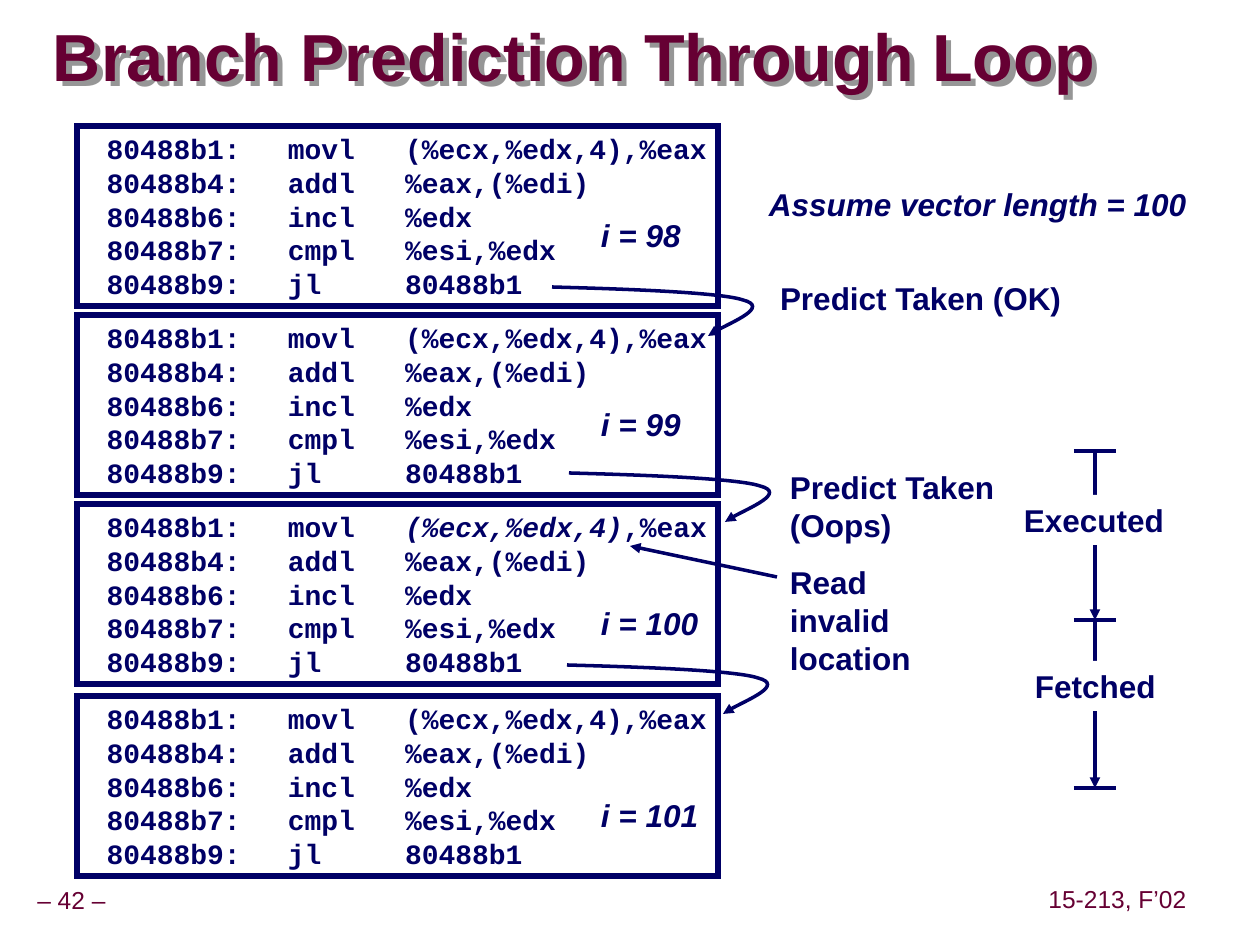
from dataclasses import dataclass

import pptx
import pptx.dml.color
import pptx.enum.shapes
import pptx.enum.text
import pptx.oxml
import pptx.oxml.ns
import pptx.oxml.xmlchemy
import pptx.util
from pptx.oxml.ns import qn

SCALE = 914400 / 126  # EMU in one px
ALIGN = pptx.enum.text.PP_ALIGN
ANCHOR = pptx.enum.text.MSO_ANCHOR
RECTANGLE = pptx.enum.shapes.MSO_SHAPE.RECTANGLE


@dataclass(frozen=True)
class Theme:
    ink: str = "000066"
    accent: str = "660033"
    paper: str = "FFFFFF"
    shadow: str = "969696"
    sans: str = "Arial"
    mono: str = "Courier New"
    title_size: int = 38
    label_size: int = 18
    code_size: int = 16
    footer_size: int = 14
    box_line: int = 3
    line: int = 2


@dataclass(frozen=True)
class Iteration:
    """One pass of the loop, with its block of code."""
    top: int
    index: int
    label_offset: int
    label_width: int
    invalid_read: bool = False


@dataclass(frozen=True)
class Label:
    text: str
    left: int
    top: int
    width: int
    height: int = 50
    italic: bool = False
    wrap: bool = False
    filled: bool = False


THEME = Theme()
OPERAND = "(%ecx,%edx,4)"
CODE = "\n".join([
    f" 80488b1:\tmovl   {OPERAND},%eax",
    " 80488b4:\taddl   %eax,(%edi)",
    " 80488b6:\tincl   %edx",
    " 80488b7:\tcmpl   %esi,%edx",
    " 80488b9:\tjl     80488b1",
])
BOX_LEFT, BOX_WIDTH, BOX_HEIGHT, CODE_TAB = 77, 641, 180, 198
ITERATIONS = [
    Iteration(126, 98, 84, 105),
    Iteration(315, 99, 84, 105),
    Iteration(504, 100, 94, 122, invalid_read=True),
    Iteration(696, 101, 94, 122),
]
LABELS = [
    Label("Assume vector length = 100", 756, 179, 442, italic=True),
    Label("Predict Taken (OK)", 767, 273, 309),
    Label("Predict Taken\n(Oops)", 777, 462, 232, 88),
    Label("Read invalid location", 777, 557, 179, 126, wrap=True),
    Label("Executed", 1011, 495, 165, filled=True),
    Label("Fetched", 1022, 661, 146, filled=True),
]
JUMP_STARTS = [(552, 287), (569, 473), (567, 665)]
JUMP_CURVE = [(32, 1), (165, 4), (191, 13), (218, 20), (164, 42), (156, 49)]
AXIS_X, TICK_HALF, TICKS = 1095, 21, [451, 620, 788]


def px(length: float) -> int:
    return round(length * SCALE)


def rgb(color: str) -> pptx.dml.color.RGBColor:
    return pptx.dml.color.RGBColor.from_string(color)


def write(shape, text: str, *, size: int, color: str = THEME.ink, font: str = THEME.sans,
          bold: bool = True, italic: bool = False, italic_part: str = "",
          align=ALIGN.LEFT, anchor=ANCHOR.TOP, spacing: float = 1.0, wrap: bool = False,
          grow: bool = True, insets: tuple = (13, 6, 0, 6), tab: int = 0) -> None:
    """Fill a shape with one paragraph per line; italic_part is slanted where it occurs."""
    frame = shape.text_frame
    frame.word_wrap = wrap
    auto_size = pptx.enum.text.MSO_AUTO_SIZE
    frame.auto_size = auto_size.SHAPE_TO_FIT_TEXT if grow else auto_size.NONE
    frame.vertical_anchor = anchor
    frame.margin_left, frame.margin_top, frame.margin_right, frame.margin_bottom = map(px, insets)
    for number, line in enumerate(text.split("\n")):
        paragraph = frame.add_paragraph() if number else frame.paragraphs[0]
        paragraph.alignment = align
        paragraph.line_spacing = spacing
        if tab:
            tabs = pptx.oxml.xmlchemy.OxmlElement("a:tabLst")
            stop = pptx.oxml.xmlchemy.OxmlElement("a:tab")
            stop.set("pos", str(px(tab)))
            stop.set("algn", "l")
            tabs.append(stop)
            paragraph._p.get_or_add_pPr().append(tabs)
        before, found, after = line.partition(italic_part) if italic_part else (line, "", "")
        for part, slanted in ((before, italic), (found, True), (after, italic)):
            if part:
                run = paragraph.add_run()
                run.text = part
                run.font.name = font
                run.font.size = pptx.util.Pt(size)
                run.font.bold = bold
                run.font.italic = slanted
                run.font.color.rgb = rgb(color)


def add_title(slide, text: str) -> None:
    """Set the title; with no fill behind it, the shadow falls from the letters."""
    title = slide.shapes.title
    title.left, title.top, title.width, title.height = px(53), px(21), px(1082), px(79)
    write(title, text, size=THEME.title_size, color=THEME.accent, anchor=ANCHOR.MIDDLE,
          spacing=0.87, wrap=True, grow=False, insets=(0, 0, 0, 0))
    title.fill.background()
    title._element.spPr.append(pptx.oxml.parse_xml(
        f'<a:effectLst {pptx.oxml.ns.nsdecls("a")}><a:outerShdw dist="53882" dir="2700000">'
        f'<a:srgbClr val="{THEME.shadow}"/></a:outerShdw></a:effectLst>'))


def add_rectangle(slide, left: int, top: int, width: int, height: int):
    shape = slide.shapes.add_shape(RECTANGLE, px(left), px(top), px(width), px(height))
    shape.shadow.inherit = False
    shape.fill.background()
    shape.line.fill.background()
    return shape


def add_label(slide, label: Label) -> None:
    place = label.left, label.top, label.width, label.height
    if label.filled:
        shape = add_rectangle(slide, *place)
        shape.fill.solid()
        shape.fill.fore_color.rgb = rgb(THEME.paper)
    else:
        shape = slide.shapes.add_textbox(*map(px, place))
    write(shape, label.text, size=THEME.label_size, italic=label.italic, wrap=label.wrap)


def style_line(shape, width: int = THEME.line, arrow: bool = False) -> None:
    shape.line.color.rgb = rgb(THEME.ink)
    shape.line.width = pptx.util.Pt(width)
    outline = shape.line._get_or_add_ln()
    corner = pptx.oxml.xmlchemy.OxmlElement("a:miter")
    corner.set("lim", "800000")
    outline.append(corner)
    if arrow:
        head = pptx.oxml.xmlchemy.OxmlElement("a:tailEnd")
        head.set("type", "triangle")
        outline.append(head)


def add_iteration(slide, iteration: Iteration) -> None:
    box = add_rectangle(slide, BOX_LEFT, iteration.top, BOX_WIDTH, BOX_HEIGHT)
    style_line(box, THEME.box_line)
    write(box, CODE, size=THEME.code_size, font=THEME.mono, tab=CODE_TAB,
          italic_part=OPERAND if iteration.invalid_read else "")
    add_label(slide, Label(f"i = {iteration.index}", 588, iteration.top + iteration.label_offset,
                           iteration.label_width, italic=True))


def add_line(slide, start: tuple, end: tuple, arrow: bool = False) -> None:
    line = slide.shapes.add_connector(pptx.enum.shapes.MSO_CONNECTOR.STRAIGHT,
                                      *map(px, start + end))
    style_line(line, arrow=arrow)
    line._element.spPr.append(pptx.oxml.xmlchemy.OxmlElement("a:effectLst"))


def add_jump(slide, x: int, y: int) -> None:
    """Draw a curved arrow, turning each three segments into one Bézier curve."""
    builder = slide.shapes.build_freeform(x, y, scale=SCALE)
    builder.add_line_segments([(x + dx, y + dy) for dx, dy in JUMP_CURVE], close=False)
    shape = builder.convert_to_shape()
    segments = list(shape._element.iter(qn("a:lnTo")))
    for first in range(0, len(segments), 3):
        curve = pptx.oxml.xmlchemy.OxmlElement("a:cubicBezTo")
        segments[first].addprevious(curve)
        for segment in segments[first:first + 3]:
            curve.append(segment[0])
            segment.getparent().remove(segment)
    shape.fill.background()
    shape.shadow.inherit = False
    style_line(shape, arrow=True)


def main() -> None:
    presentation = pptx.Presentation()
    presentation.slide_width, presentation.slide_height = px(1260), px(945)
    slide = presentation.slides.add_slide(presentation.slide_layouts[5])
    add_title(slide, "Branch Prediction Through Loop")
    for text, left, top, width in (("– 42 –", -11, 882, 165), ("15-213, F’02", 1042, 881, 151)):
        footer = slide.shapes.add_textbox(px(left), px(top), px(width), px(39))
        write(footer, text, size=THEME.footer_size, color=THEME.accent, bold=False,
              align=ALIGN.CENTER, anchor=ANCHOR.MIDDLE, spacing=0.9, insets=(6, 6, 6, 6))
    for iteration in ITERATIONS:
        add_iteration(slide, iteration)
    for start in JUMP_STARTS:
        add_jump(slide, *start)
    add_line(slide, (777, 577), (630, 546), arrow=True)
    for top, bottom in zip(TICKS, TICKS[1:]):
        add_line(slide, (AXIS_X, top), (AXIS_X, bottom), arrow=True)
    for tick in TICKS:
        add_line(slide, (AXIS_X - TICK_HALF, tick), (AXIS_X + TICK_HALF, tick))
    for label in LABELS:
        add_label(slide, label)
    presentation.save("out.pptx")


if __name__ == "__main__":
    main()
